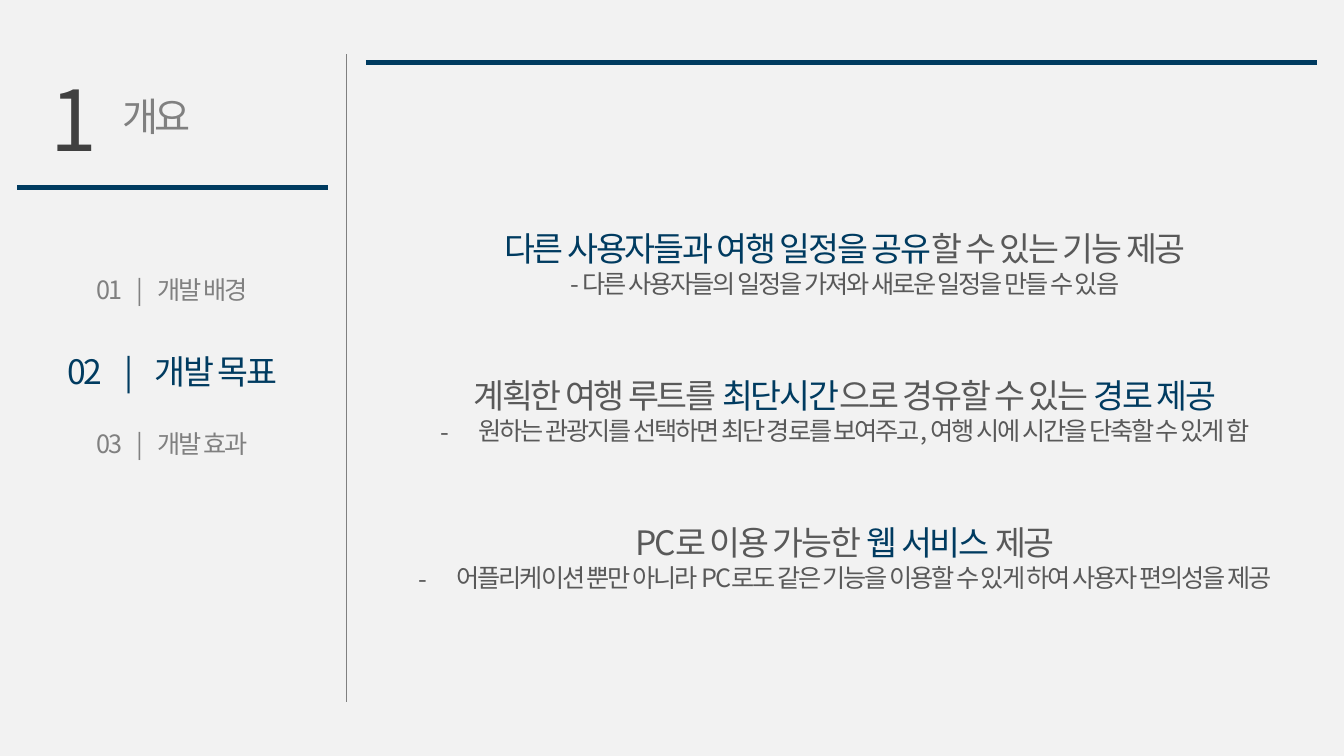
from pptx import Presentation, util as u
from pptx.dml.color import RGBColor
from pptx.enum import shapes, text
from pptx.oxml.ns import qn
from lxml import etree

FONT = "Noto Sans CJK KR"
NAVY = RGBColor(0x00, 0x3B, 0x60)
DARK = RGBColor(0x40, 0x40, 0x40)
BODY = RGBColor(0x59, 0x59, 0x59)
GREY = RGBColor(0x80, 0x80, 0x80)
PAPER = RGBColor(0xF2, 0xF2, 0xF2)

prs = Presentation()
prs.slide_width, prs.slide_height = u.Inches(13.33), u.Inches(7.5)
s = prs.slides.add_slide(prs.slide_layouts[6])
s.background.fill.solid()
s.background.fill.fore_color.rgb = PAPER


def add_box(left, top, width, height):
    tf = s.shapes.add_textbox(*map(u.Inches, (left, top, width, height))).text_frame
    tf.word_wrap = True
    tf.auto_size = text.MSO_AUTO_SIZE.SHAPE_TO_FIT_TEXT
    tf.paragraphs[0].alignment = text.PP_ALIGN.CENTER
    return tf


def add_run(p, words, size, color, spacing=-1.5):
    """Add a run in the deck font; spacing is the tracking in points."""
    r = p.add_run()
    r.text = words
    r.font.size, r.font.name, r.font.color.rgb = u.Pt(size), FONT, color
    rPr = r.font._element
    rPr.set("spc", str(round(spacing * 100)))
    etree.SubElement(rPr, qn("a:ea")).set("typeface", FONT)


# Rules: sidebar divider, heading underline, content top bar
SIDE_LEFT, SIDE_WIDTH = 0.17, 3.08
for x1, y1, x2, y2, color, weight in (
    (3.44, 0.54, 3.44, 6.96, GREY, 0.5),
    (SIDE_LEFT, 1.86, SIDE_LEFT + SIDE_WIDTH, 1.86, NAVY, 4),
    (3.63, 0.62, 13.06, 0.62, NAVY, 4),
):
    rule = s.shapes.add_connector(shapes.MSO_CONNECTOR.STRAIGHT,
                                  *map(u.Inches, (x1, y1, x2, y2)))
    rule.line.color.rgb, rule.line.width = color, u.Pt(weight)
    etree.SubElement(rule._element.spPr, qn("a:effectLst"))

# Section heading
number = add_box(0.4, 0.62, 0.91, 1.3).paragraphs[0]
number.alignment = text.PP_ALIGN.LEFT
add_run(number, "1", 60, DARK, -3)
add_run(add_box(0.78, 0.87, 1.54, 0.57).paragraphs[0], "개요", 28, GREY, -3)

# Sidebar menu: wide tracking on the single spaces sets the bar apart
for row, (label, size, color) in enumerate((
    ("개발 배경", 18, GREY),
    ("개발 목표", 24, NAVY),
    ("개발 효과", 18, GREY),
)):
    p = add_box(SIDE_LEFT, 2.67 + row * 0.765, SIDE_WIDTH, size / 48).paragraphs[0]
    gap = size * 0.67 - 6
    for words, spacing in ((f"0{row + 1}", -1.5), (" ", gap), ("|", -1.5),
                           (" ", gap), (label, -1.5)):
        add_run(p, words, size, color, spacing)

# Goals: headline runs, detail line, whether the detail has a real bullet
GOALS = (
    ((("다른 사용자들과 여행 일정을 공유", NAVY), ("할 수 있는 기능 제공", BODY)),
     "- 다른 사용자들의 일정을 가져와 새로운 일정을 만들 수 있음", False),
    ((("계획한 여행 루트를 ", BODY), ("최단시간", NAVY),
      ("으로 경유할 수 있는 ", BODY), ("경로 제공", NAVY)),
     "원하는 관광지를 선택하면 최단 경로를 보여주고, 여행 시에 시간을 단축할 수 있게 함", True),
    ((("PC로 이용 가능한 ", BODY), ("웹 서비스", NAVY), (" 제공", BODY)),
     "어플리케이션 뿐만 아니라 PC로도 같은 기능을 이용할 수 있게 하여 사용자 편의성을 제공", True),
)
for row, (headline, detail, bulleted) in enumerate(GOALS):
    tf = add_box(3.82, 2.21 + row * 1.46, 9.12, 0.81)
    for words, color in headline:
        add_run(tf.paragraphs[0], words, 24, color)
    p = tf.add_paragraph()
    p.alignment = text.PP_ALIGN.CENTER
    add_run(p, detail, 18, BODY)
    if bulleted:
        pPr = p._p.get_or_add_pPr()
        indent = u.Inches(0.38)
        pPr.set("marL", str(indent))
        pPr.set("indent", str(-indent))
        etree.SubElement(pPr, qn("a:buFont")).set("typeface", FONT)
        etree.SubElement(pPr, qn("a:buChar")).set("char", "-")

prs.save("out.pptx")
